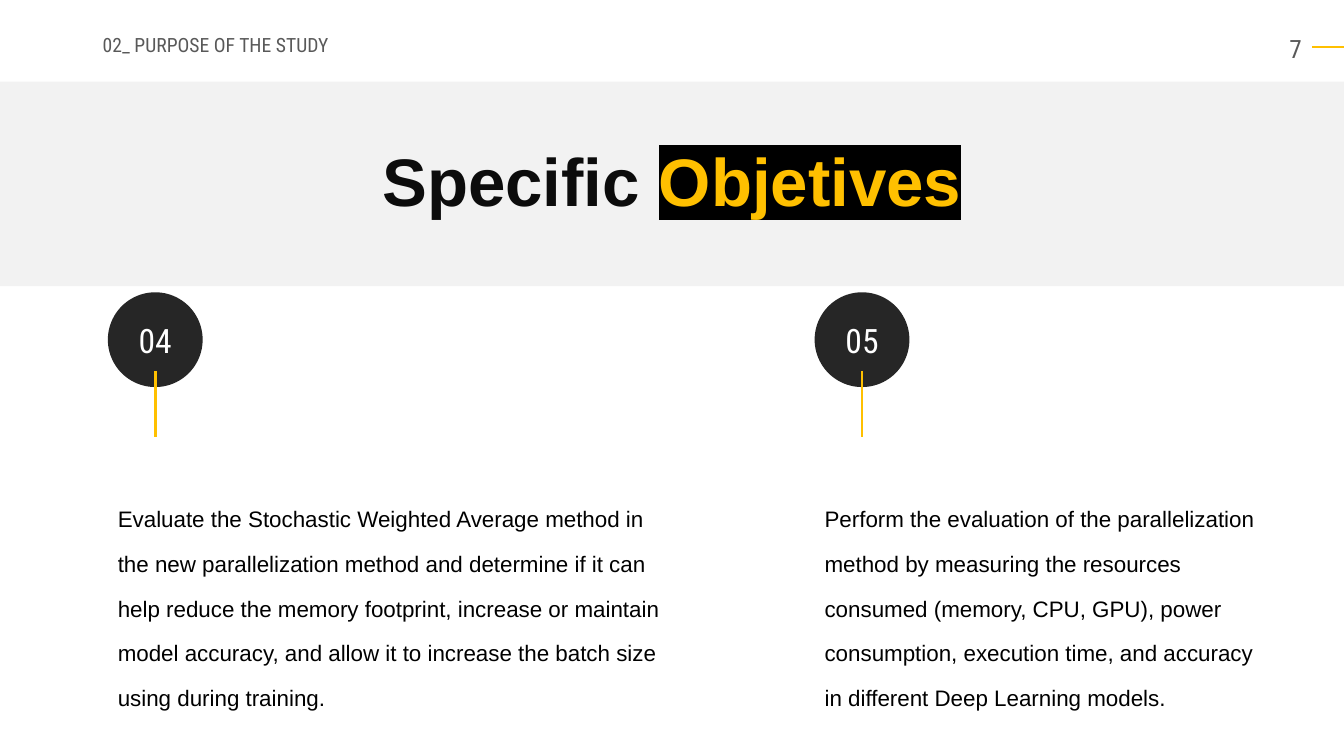
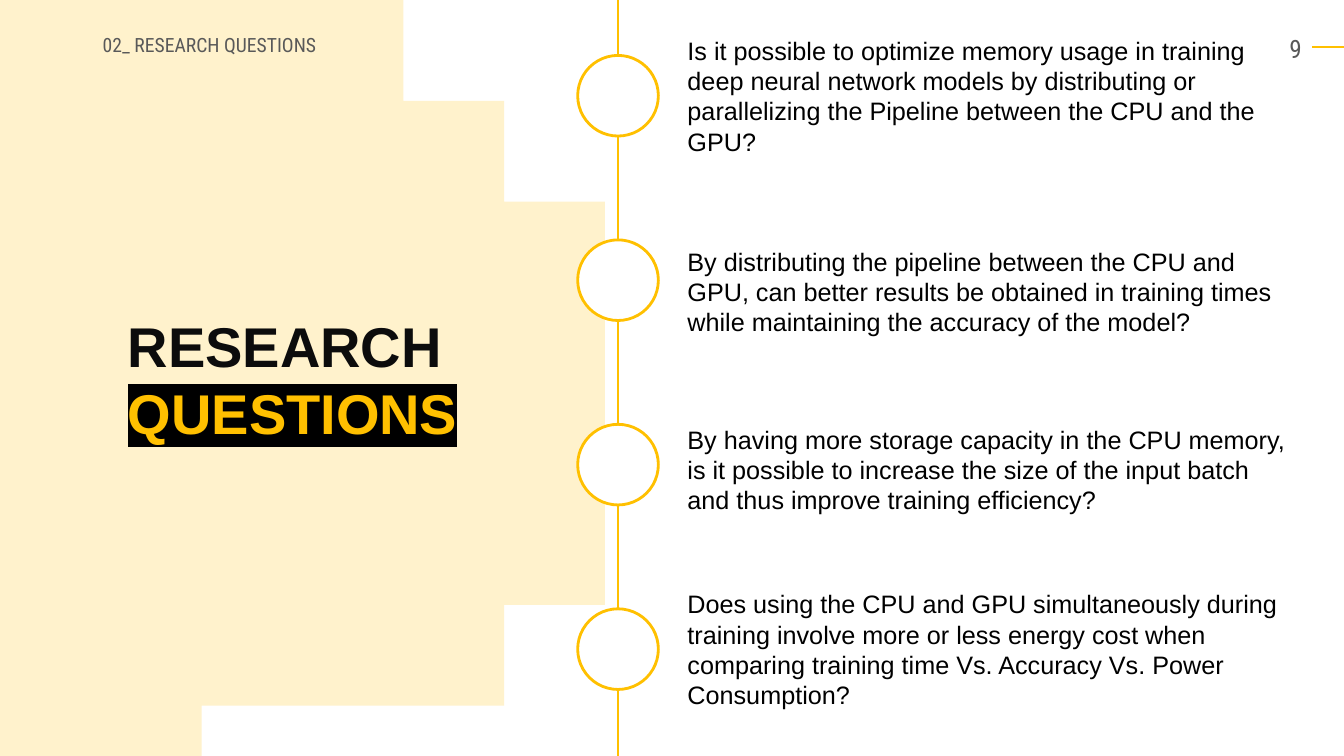
from math import cos, pi, sin

from lxml.etree import SubElement
from pptx import Presentation
from pptx.dml.color import RGBColor
from pptx.enum.shapes import MSO_CONNECTOR, MSO_SHAPE
from pptx.enum.text import MSO_ANCHOR, PP_ALIGN
from pptx.oxml import parse_xml
from pptx.oxml.ns import nsdecls, qn
from pptx.util import Inches, Pt

# Content
OBJECTIVES_HEADER = ("02_ PURPOSE OF THE STUDY", "7")
OBJECTIVES_TITLE = [["Specific ", "Objetives"]]
OBJECTIVES = [  # number, text, left, text width
    ("04", "Evaluate the Stochastic Weighted Average method in the new "
     "parallelization method and determine if it can help reduce the memory "
     "footprint, increase or maintain model accuracy, and allow it to increase "
     "the batch size using during training.", 1.07, 5.6),
    ("05", "Perform the evaluation of the parallelization method by measuring "
     "the resources consumed (memory, CPU, GPU), power consumption, execution "
     "time, and accuracy in different Deep Learning models.", 8.08, 4.52),
]
QUESTIONS_HEADER = ("02_ RESEARCH QUESTIONS", "9")
QUESTIONS_TITLE = [["RESEARCH"], ["QUESTIONS"]]
QUESTIONS = [  # text, top, width, height
    ("Is it possible to optimize memory usage in training deep neural network "
     "models by distributing or parallelizing the Pipeline between the CPU and "
     "the GPU?", 0.11, 6.02, 1.68),
    ("By distributing the pipeline between the CPU and GPU, can better results "
     "be obtained in training times while maintaining the accuracy of the "
     "model?", 2.21, 6.14, 1.36),
    ("By having more storage capacity in the CPU memory, is it possible to "
     "increase the size of the input batch and thus improve training "
     "efficiency?", 3.98, 6.14, 1.36),
    ("Does using the CPU and GPU simultaneously during training involve more "
     "or less energy cost when comparing training time Vs. Accuracy Vs. Power "
     "Consumption?", 5.76, 6.14, 1.36),
]

# Shared style
WIDTH, HEIGHT = 13.33, 7.5
AMBER = RGBColor(0xFF, 0xC0, 0x00)
CREAM = RGBColor(0xFF, 0xF2, 0xCC)
BLACK = RGBColor(0x00, 0x00, 0x00)
INK = RGBColor(0x0C, 0x0C, 0x0C)
CHARCOAL = RGBColor(0x26, 0x26, 0x26)
GREY = RGBColor(0x59, 0x59, 0x59)
PALE = RGBColor(0xF2, 0xF2, 0xF2)
WHITE = RGBColor(0xFF, 0xFF, 0xFF)
BODY_FONT, LABEL_FONT = "Arial", "Roboto Condensed"


def inches(*lengths):
    """Turn plain numbers into lengths."""
    return [Inches(length) for length in lengths]


def style(para, size, face, color=None, align=PP_ALIGN.LEFT, spacing=None):
    """Set the font and layout of a whole paragraph."""
    para.font.size, para.font.name = Pt(size), face
    if color is not None:
        para.font.color.rgb = color
    para.alignment = align
    if spacing:
        para.line_spacing = spacing


def add_text(page, place, text, size, face, color, anchor=MSO_ANCHOR.MIDDLE, **layout):
    """Add a wrapped one-paragraph text box."""
    frame = page.shapes.add_textbox(*inches(*place)).text_frame
    frame.word_wrap, frame.vertical_anchor = True, anchor
    frame.text = text
    style(frame.paragraphs[0], size, face, color, **layout)


def add_title(page, place, lines, size, align):
    """Add a bold title whose last span is amber on black."""
    frame = page.shapes.add_textbox(*inches(*place)).text_frame
    frame.word_wrap = True
    for index, words in enumerate(lines):
        para = frame.add_paragraph() if index else frame.paragraphs[0]
        style(para, size, BODY_FONT, align=align)
        para.font.bold = True
        for word in words:
            span = para.add_run()
            span.text = word
            span.font.color.rgb = INK
    span.font.color.rgb = AMBER
    fill = span.font._element.find(qn("a:solidFill"))
    fill.addnext(parse_xml(
        f'<a:highlight {nsdecls("a")}><a:srgbClr val="{BLACK}"/></a:highlight>'))


def paint(shape, fill, line=None, width=2):
    """Give a shape a flat fill and an optional outline."""
    shape.shadow.inherit = False
    shape.fill.solid()
    shape.fill.fore_color.rgb = fill
    if line is None:
        shape.line.fill.background()
    else:
        shape.line.color.rgb, shape.line.width = line, Pt(width)
    return shape


def add_line(holder, start, end, width):
    """Add a straight amber line."""
    line = holder.shapes.add_connector(MSO_CONNECTOR.STRAIGHT, *inches(*start, *end))
    line.line.color.rgb, line.line.width = AMBER, Pt(width)
    SubElement(line._element.spPr, qn("a:effectLst"))


def add_circle(holder, left, top, size, fill, line=None):
    """Add a circle by its top left corner."""
    circle = holder.shapes.add_shape(MSO_SHAPE.OVAL, *inches(left, top, size, size))
    return paint(circle, fill, line)


def add_header(page, section, number):
    """Add the section label, the page number and its dash."""
    add_line(page, (WIDTH, 0.47), (13.01, 0.47), 1.5)
    add_text(page, (12.17, 0.28, 0.84, 0.35), number, 18, LABEL_FONT, GREY,
             MSO_ANCHOR.TOP, align=PP_ALIGN.RIGHT)
    add_text(page, (0.92, 0.26, 3.33, 0.4), section, 14, LABEL_FONT, GREY, spacing=0.9)


def add_marker(page, number, left, top=2.9, size=0.94):
    """Add a numbered disc with an amber stem."""
    marker = page.shapes.add_group_shape()
    disc = add_circle(marker, left, top, size, CHARCOAL)
    frame = disc.text_frame
    frame.vertical_anchor = MSO_ANCHOR.MIDDLE
    frame.text = number
    style(frame.paragraphs[0], 24, LABEL_FONT, WHITE, PP_ALIGN.CENTER)
    middle = left + size / 2
    add_line(marker, (middle, 3.68), (middle, 4.34), 2)


def add_dome(page, straight=2.27, steps=90):
    """Add the full-height panel with a half-round right side."""
    radius = HEIGHT / 2
    angles = [pi * step / steps - pi / 2 for step in range(steps + 1)]
    arc = [(straight + radius * cos(angle), radius + radius * sin(angle))
           for angle in angles]
    outline = page.shapes.build_freeform(0, 0, scale=Inches(1))
    outline.add_line_segments(arc + [(0, HEIGHT)], close=True)
    paint(outline.convert_to_shape(), CREAM)


def build_objectives(page):
    """Build the slide of specific objectives."""
    band = page.shapes.add_shape(MSO_SHAPE.RECTANGLE, *inches(0, 0.81, WIDTH, 2.03))
    paint(band, PALE)
    add_header(page, *OBJECTIVES_HEADER)
    add_title(page, (0, 1.33, WIDTH, 0.91), OBJECTIVES_TITLE, 48, PP_ALIGN.CENTER)
    for number, text, left, width in OBJECTIVES:
        add_text(page, (left, 4.39, width, 3.11), text, 16, BODY_FONT, BLACK, spacing=1.66)
        add_marker(page, number, left)


def build_questions(page):
    """Build the slide of research questions along a timeline."""
    axis, size, first, step = 6.13, 0.8, 0.55, 1.83
    add_line(page, (axis, 0), (axis, HEIGHT), 1.75)
    add_dome(page)
    add_header(page, *QUESTIONS_HEADER)
    add_title(page, (1.17, 3.04, 4.27, 1.45), QUESTIONS_TITLE, 40, PP_ALIGN.LEFT)
    for index, (text, top, width, height) in enumerate(QUESTIONS):
        add_circle(page, axis - size / 2, first + index * step, size, WHITE, AMBER)
        add_text(page, (6.72, top, width, height), text, 18, BODY_FONT, BLACK)


deck = Presentation()
deck.slide_width, deck.slide_height = inches(WIDTH, HEIGHT)
for build in (build_objectives, build_questions):
    build(deck.slides.add_slide(deck.slide_layouts[6]))
deck.save("out.pptx")
